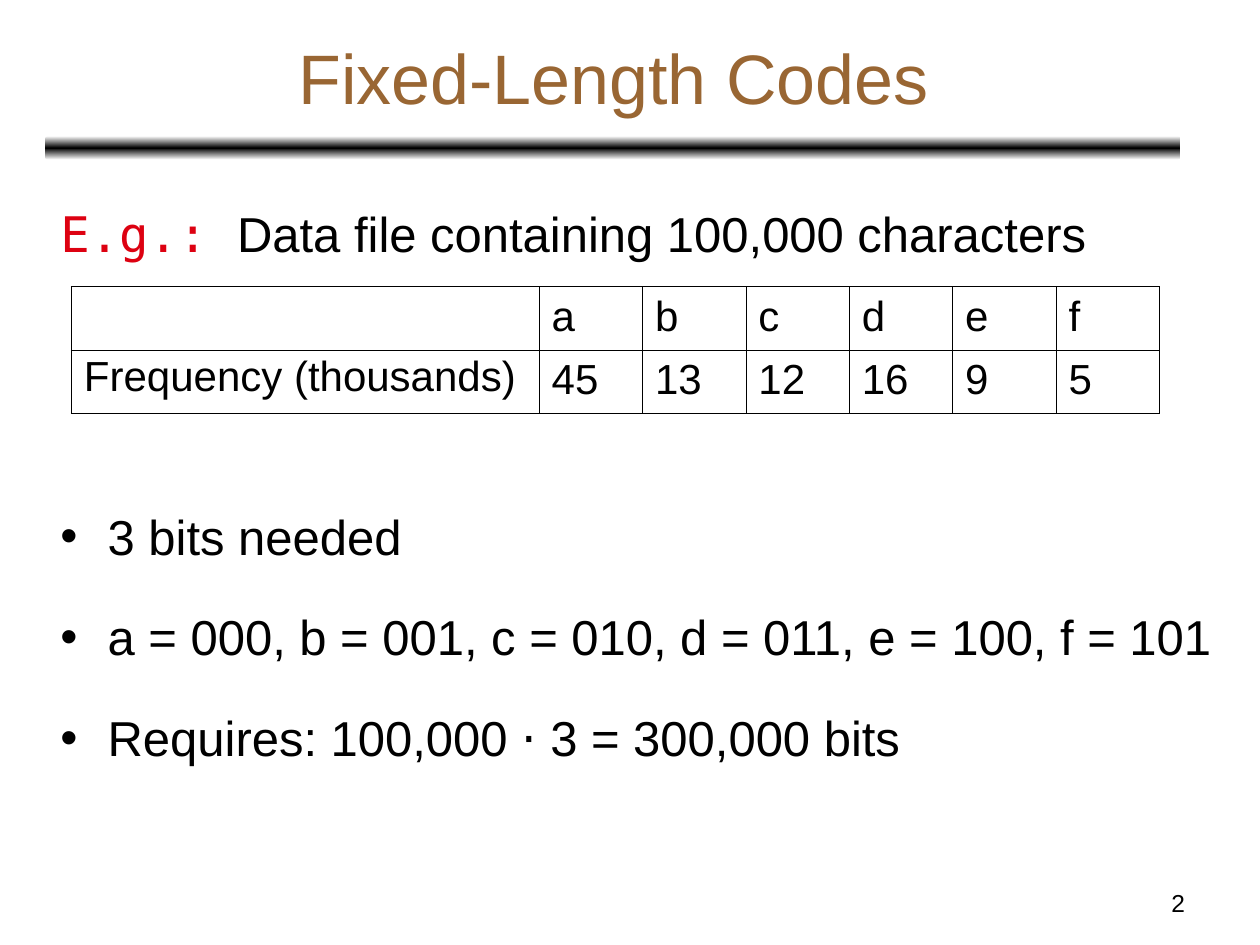
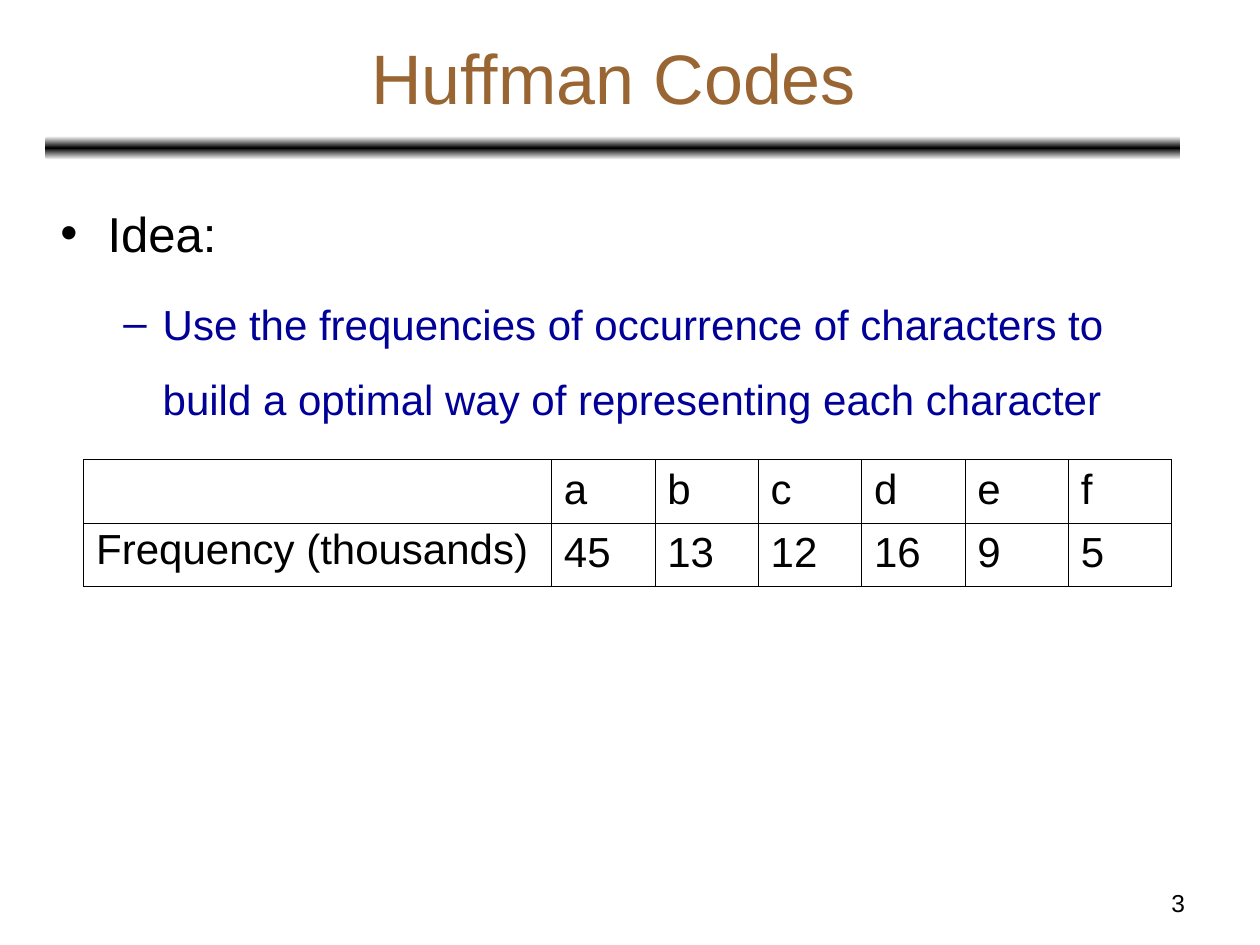
"""Build two slides on fixed-length and Huffman codes."""
from copy import deepcopy
from dataclasses import dataclass

from lxml.etree import SubElement
from pptx import Presentation
from pptx.dml.color import RGBColor
from pptx.enum.shapes import MSO_SHAPE
from pptx.enum.text import MSO_ANCHOR, PP_ALIGN
from pptx.oxml import parse_xml
from pptx.oxml.ns import nsdecls, qn
from pptx.presentation import Presentation as Deck
from pptx.slide import Slide
from pptx.table import _Cell as Cell
from pptx.text.text import TextFrame, _Paragraph as Paragraph, _Run as Run
from pptx.util import Pt

COLORS = {
    "white": "FFFFFF",
    "black": "000000",
    "title": "996633",
    "example": "DD0111",
    "detail": "000099",
}
SANS = "Arial"
MONO = "DejaVu Sans Mono"
OUTER_BORDER = 0.5
INNER_BORDER = 0.23
LABEL_WIDTH = 267.3
LETTER_WIDTH = 59.1
ROW_HEIGHT = 36.3
FREQUENCIES = {"a": 45, "b": 13, "c": 12, "d": 16, "e": 9, "f": 5}


@dataclass(frozen=True)
class Box:
    left: float
    top: float
    width: float
    height: float

    def lengths(self) -> tuple[Pt, Pt, Pt, Pt]:
        return Pt(self.left), Pt(self.top), Pt(self.width), Pt(self.height)


@dataclass(frozen=True)
class Span:
    text: str
    color: str = "black"
    font: str = SANS


@dataclass(frozen=True)
class Item:
    spans: tuple[Span, ...]
    bullet: str = "•"
    level: int = 0
    size: float = 28
    space_before: float = 7.1
    margin: float = 27
    indent: float = -27


@dataclass(frozen=True)
class Page:
    title: str
    number: int
    body: Box
    items: tuple[Item, ...]
    table_left: float
    table_top: float


RULE = Box(25.7, 77.8, 649, 13.5)
NUMBER = Box(516.2, 504, 168, 25.2)
TITLE = Box(26.6, 7.9, 648, 71.3)

PAGES = (
    Page("Fixed-Length Codes", 2, Box(27.4, 95.8, 682.6, 425.5), (
        Item((Span("E.g.: ", "example", MONO),
              Span("Data file containing 100,000 characters")), bullet=""),
        Item((Span("3 bits needed"),), space_before=122.5),
        Item((Span("a = 000, b = 001, c = 010, d = 011, e = 100, f = 101"),)),
        Item((Span("Requires: 100,000 ⋅ 3 = 300,000 bits"),)),
    ), 40.8, 163.7),
    Page("Huffman Codes", 3, Box(27.4, 95.8, 648, 399.6), (
        Item((Span("Idea:"),)),
        Item((Span("Use the frequencies of occurrence of characters to build "
                   "a optimal way of representing each character", "detail"),),
             bullet="–", level=1, size=24, space_before=6.1,
             margin=58.5, indent=-22.5),
    ), 47.8, 262.7),
)


def rgb(name: str) -> RGBColor:
    return RGBColor.from_string(COLORS[name])


def format_run(run: Run, size: float, color: str, font: str = SANS) -> None:
    run.font.size = Pt(size)
    run.font.name = font
    run.font.color.rgb = rgb(color)


def space(paragraph: Paragraph, before: float, lines: float) -> None:
    paragraph.space_before = Pt(before)
    paragraph.space_after = Pt(0.1)
    paragraph.line_spacing = lines


def add_text_frame(slide: Slide, box: Box) -> TextFrame:
    text_frame = slide.shapes.add_textbox(*box.lengths()).text_frame
    text_frame.word_wrap = True
    return text_frame


def add_label(slide: Slide, box: Box, text: str, size: float, color: str,
              alignment: PP_ALIGN, anchor: MSO_ANCHOR) -> None:
    text_frame = add_text_frame(slide, box)
    text_frame.text = text
    text_frame.vertical_anchor = anchor
    paragraph = text_frame.paragraphs[0]
    paragraph.alignment = alignment
    format_run(paragraph.runs[0], size, color)


def add_rule(slide: Slide) -> None:
    shape = slide.shapes.add_shape(MSO_SHAPE.ROUNDED_RECTANGLE, *RULE.lengths())
    shape.shadow.inherit = False
    shape.line.fill.background()
    shape.fill.gradient()
    shape.fill.gradient_angle = 90
    first_stop = next(shape.element.spPr.iter(qn("a:gs")))
    first_stop.addnext(deepcopy(first_stop))
    stops = ((0, "white"), (0.5, "black"), (1, "white"))
    for stop, (position, color) in zip(shape.fill.gradient_stops, stops):
        stop.position = position
        stop.color.rgb = rgb(color)


def set_bullet(paragraph: Paragraph, item: Item) -> None:
    properties = paragraph._p.get_or_add_pPr()
    properties.set("marL", str(Pt(item.margin)))
    properties.set("indent", str(Pt(item.indent)))
    if not item.bullet:
        SubElement(properties, qn("a:buNone"))
        return
    color = SubElement(properties, qn("a:buClr"))
    SubElement(color, qn("a:srgbClr"), val=COLORS[item.spans[0].color])
    SubElement(properties, qn("a:buFont"), typeface=SANS)
    SubElement(properties, qn("a:buChar"), char=item.bullet)


def add_body(slide: Slide, box: Box, items: tuple[Item, ...]) -> None:
    text_frame = add_text_frame(slide, box)
    for index, item in enumerate(items):
        paragraph = text_frame.add_paragraph() if index else text_frame.paragraphs[0]
        paragraph.level = item.level
        space(paragraph, item.space_before, 1.5)
        set_bullet(paragraph, item)
        for span in item.spans:
            run = paragraph.add_run()
            run.text = span.text
            format_run(run, item.size, span.color, span.font)


def set_borders(cell: Cell, widths: dict[str, float]) -> None:
    properties = cell._tc.get_or_add_tcPr()
    for index, (side, width) in enumerate(widths.items()):
        properties.insert(index, parse_xml(
            f'<a:ln{side} {nsdecls("a")} w="{Pt(width)}"><a:solidFill>'
            f'<a:srgbClr val="{COLORS["black"]}"/></a:solidFill></a:ln{side}>'))


def add_frequency_table(slide: Slide, left: float, top: float) -> None:
    rows = (("", *FREQUENCIES),
            ("Frequency (thousands)", *map(str, FREQUENCIES.values())))
    widths = (LABEL_WIDTH, *[LETTER_WIDTH] * len(FREQUENCIES))
    box = Box(left, top, sum(widths), ROW_HEIGHT * len(rows))
    table = slide.shapes.add_table(len(rows), len(widths), *box.lengths()).table
    table.first_row = table.horz_banding = False
    for column, width in zip(table.columns, widths):
        column.width = Pt(width)
    for row_index, row in enumerate(rows):
        table.rows[row_index].height = Pt(ROW_HEIGHT)
        for column_index, text in enumerate(row):
            cell = table.cell(row_index, column_index)
            cell.fill.background()
            at_edge = {
                "L": column_index == 0,
                "R": column_index == len(widths) - 1,
                "T": row_index == 0,
                "B": row_index == len(rows) - 1,
            }
            set_borders(cell, {side: OUTER_BORDER if edge else INNER_BORDER
                               for side, edge in at_edge.items()})
            if not text:
                continue
            cell.text_frame.text = text
            cell.vertical_anchor = MSO_ANCHOR.MIDDLE if column_index else MSO_ANCHOR.TOP
            paragraph = cell.text_frame.paragraphs[0]
            space(paragraph, 6.1, 0.93)
            format_run(paragraph.runs[0], 24, "black")


def add_page(presentation: Deck, page: Page) -> None:
    slide = presentation.slides.add_slide(presentation.slide_layouts[6])
    add_rule(slide)
    add_label(slide, NUMBER, str(page.number), 14, "black",
              PP_ALIGN.RIGHT, MSO_ANCHOR.TOP)
    add_label(slide, TITLE, page.title, 40, "title",
              PP_ALIGN.CENTER, MSO_ANCHOR.MIDDLE)
    add_body(slide, page.body, page.items)
    add_frequency_table(slide, page.table_left, page.table_top)


def main() -> None:
    presentation = Presentation()
    presentation.slide_width, presentation.slide_height = Pt(720), Pt(540)
    for page in PAGES:
        add_page(presentation, page)
    presentation.save("out.pptx")


if __name__ == "__main__":
    main()
